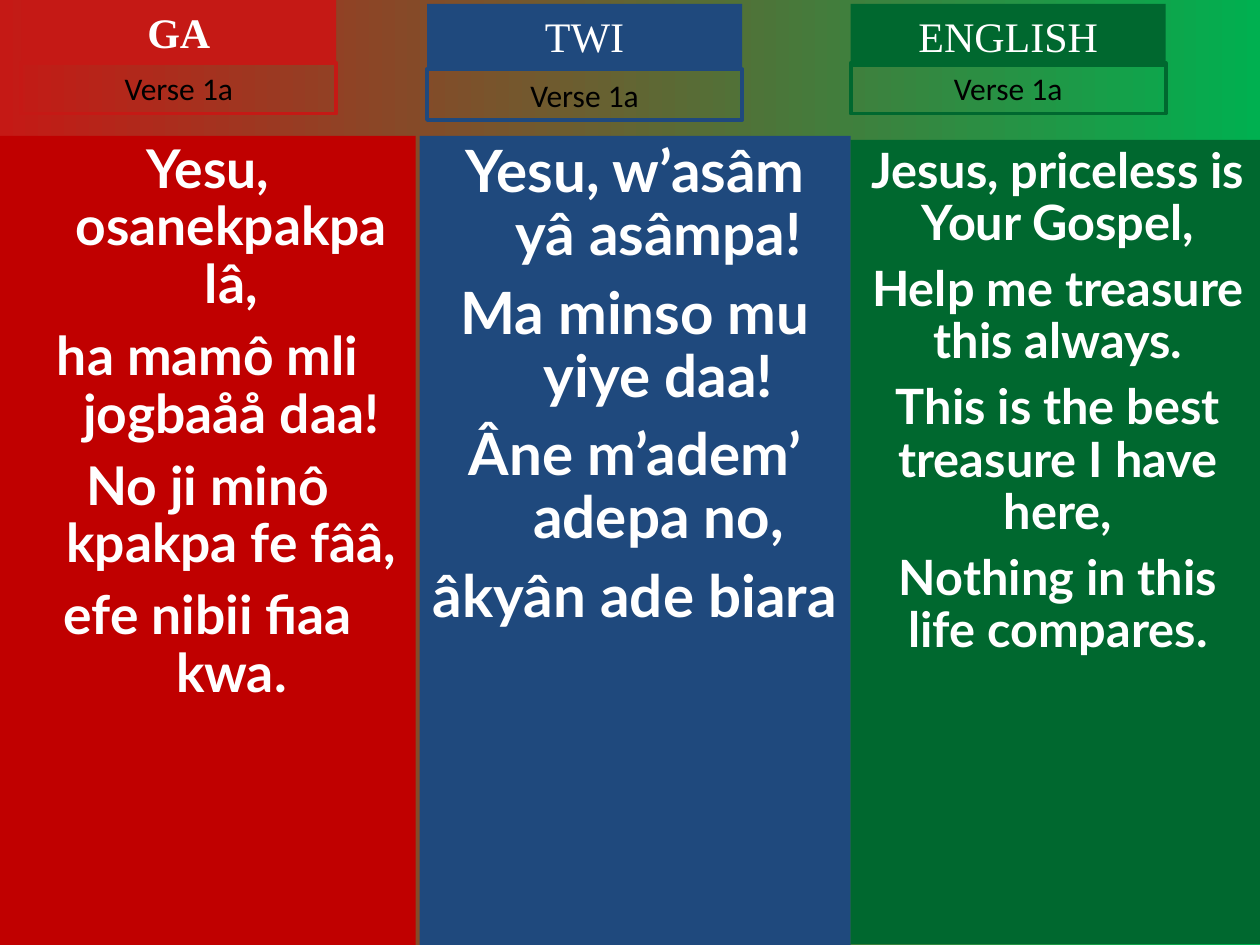
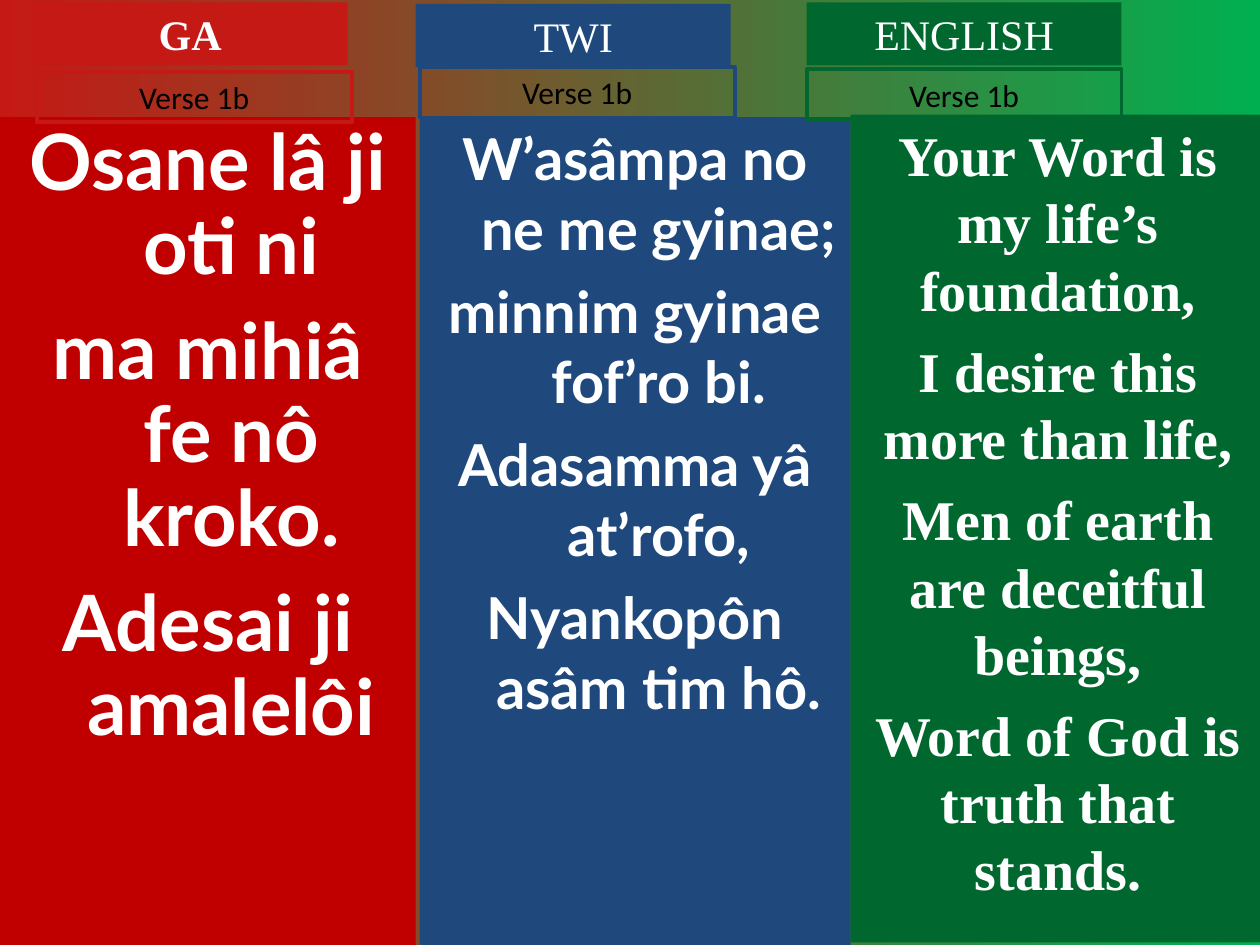
from dataclasses import dataclass

from pptx import Presentation
from pptx.dml.color import RGBColor
from pptx.enum.shapes import MSO_SHAPE
from pptx.enum.text import MSO_ANCHOR, MSO_AUTO_SIZE, PP_ALIGN
from pptx.util import Cm, Pt


@dataclass(frozen=True)
class Theme:
    red: str = "C51915"
    deep_red: str = "C00000"
    blue: str = "1F497D"
    green: str = "00682F"
    bright_green: str = "00B050"
    white: str = "FFFFFF"
    black: str = "000000"
    lyric_font: str = "Lato"
    heading_font: str = "Times New Roman"
    verse_font: str = "Calibri"
    heading_size: float = 24
    verse_size: float = 18
    border: float = 2.25


THEME = Theme()
HEADING_WIDTH, HEADING_HEIGHT, VERSE_HEIGHT = 6.35, 1.27, 1.02
HANGING_INDENT = 0.95

# language, accent colour, panel colour, bold heading, panel left, panel width, indent
LANGUAGES = [
    ("GA", THEME.red, THEME.deep_red, True, 0, 8.38, HANGING_INDENT),
    ("TWI", THEME.blue, THEME.blue, False, 8.46, 8.69, HANGING_INDENT),
    ("ENGLISH", THEME.green, THEME.green, False, 17.15, 8.36, 0),
]

# For each language: heading (left, top), verse label (left, top), panel (top, height),
# lyric font, size, line spacing, space between lines, lyrics
VERSES = {
    "Verse 1a": [
        ((0.43, 0), (0.43, 1.27), (2.74, 16.31), THEME.lyric_font, 30.5, 0.9, 8.2,
         ["Yesu, osanekpakpa lâ,", "ha mamô mli jogbaåå daa!",
          "No ji minô kpakpa fe fââ,", "efe nibii fiaa kwa."]),
        ((8.61, 0.08), (8.61, 1.4), (2.74, 16.31), THEME.lyric_font, 33.3, 0.9, 9,
         ["Yesu, w’asâm yâ asâmpa!", "Ma minso mu yiye daa!",
          "Âne m’adem’ adepa no,", "âkyân ade biara"]),
        ((17.15, 0.08), (17.15, 1.27), (2.82, 16.21), THEME.lyric_font, 27.8, 0.9, 7.5,
         ["Jesus, priceless is Your Gospel,", "Help me treasure this always.",
          "This is the best treasure I have here,", "Nothing in this life compares."]),
    ],
    "Verse 1b": [
        ((0.66, 0.05), (0.74, 1.45), (2.36, 16.69), THEME.lyric_font, 44.4, 0.9, 12,
         ["Osane lâ ji oti ni", "ma mihiâ fe nô kroko.", "Adesai ji amalelôi"]),
        ((8.38, 0.08), (8.46, 1.35), (2.36, 16.69), THEME.lyric_font, 33, 1.0, 8.2,
         ["W’asâmpa no ne me gyinae;", "minnim gyinae fof’ro bi.",
          "Adasamma yâ at’rofo,", "Nyankopôn asâm tim hô."]),
        ((16.26, 0.05), (16.26, 1.4), (2.31, 16.69), THEME.heading_font, 32, 1.0, 8,
         ["Your Word is my life’s foundation,", "I desire this more than life,",
          "Men of earth are deceitful beings,", "Word of God is truth that stands."]),
    ],
}


def add_block(slide, left, top, width, height, fill=None, line=None, grow=True):
    """Add a plain rectangle, filled or outlined, and return its text frame."""
    block = slide.shapes.add_shape(
        MSO_SHAPE.RECTANGLE, Cm(left), Cm(top), Cm(width), Cm(height))
    block.shadow.inherit = False
    if fill:
        block.fill.solid()
        block.fill.fore_color.rgb = RGBColor.from_string(fill)
    else:
        block.fill.background()
    if line:
        block.line.color.rgb = RGBColor.from_string(line)
        block.line.width = Pt(THEME.border)
    else:
        block.line.fill.background()
    frame = block.text_frame
    frame.word_wrap = True
    frame.vertical_anchor = MSO_ANCHOR.TOP
    frame.auto_size = MSO_AUTO_SIZE.SHAPE_TO_FIT_TEXT if grow else MSO_AUTO_SIZE.NONE
    return frame


def write_lines(frame, lines, font, size, color, bold=False, spacing=1.0, gap=0, indent=0):
    """Write one centred paragraph per line, with an optional hanging indent."""
    for number, words in enumerate(lines):
        paragraph = frame.add_paragraph() if number else frame.paragraphs[0]
        paragraph.alignment = PP_ALIGN.CENTER
        paragraph.line_spacing = spacing
        paragraph.space_before = Pt(gap if number else 0)
        if indent:
            properties = paragraph._p.get_or_add_pPr()
            properties.set("marL", str(Cm(indent)))
            properties.set("indent", str(-Cm(indent)))
        run = paragraph.add_run()
        run.text = words
        run.font.name = font
        run.font.size = Pt(size)
        run.font.bold = bold
        run.font.color.rgb = RGBColor.from_string(color)


prs = Presentation()
prs.slide_width, prs.slide_height = Cm(25.4), Cm(19.05)

backdrop = prs.slide_master.background.fill
backdrop.gradient()
backdrop.gradient_angle = 0
for stop, position, color in zip(
        backdrop.gradient_stops, (0, 1), (THEME.red, THEME.bright_green)):
    stop.position = position
    stop.color.rgb = RGBColor.from_string(color)

for verse, columns in VERSES.items():
    slide = prs.slides.add_slide(prs.slide_layouts[6])
    for language, column in zip(LANGUAGES, columns):
        name, accent, panel_color, bold, panel_left, panel_width, indent = language
        heading_at, verse_at, panel_span, font, size, spacing, gap, lyrics = column

        panel = add_block(slide, panel_left, panel_span[0], panel_width, panel_span[1],
                          fill=panel_color, grow=False)
        write_lines(panel, lyrics, font, size, THEME.white, True, spacing, gap, indent)

        heading = add_block(slide, *heading_at, HEADING_WIDTH, HEADING_HEIGHT, fill=accent)
        write_lines(heading, [name], THEME.heading_font, THEME.heading_size,
                    THEME.white, bold)

        verse_label = add_block(slide, *verse_at, HEADING_WIDTH, VERSE_HEIGHT, line=accent)
        write_lines(verse_label, [verse], THEME.verse_font, THEME.verse_size, THEME.black)

prs.save("out.pptx")
